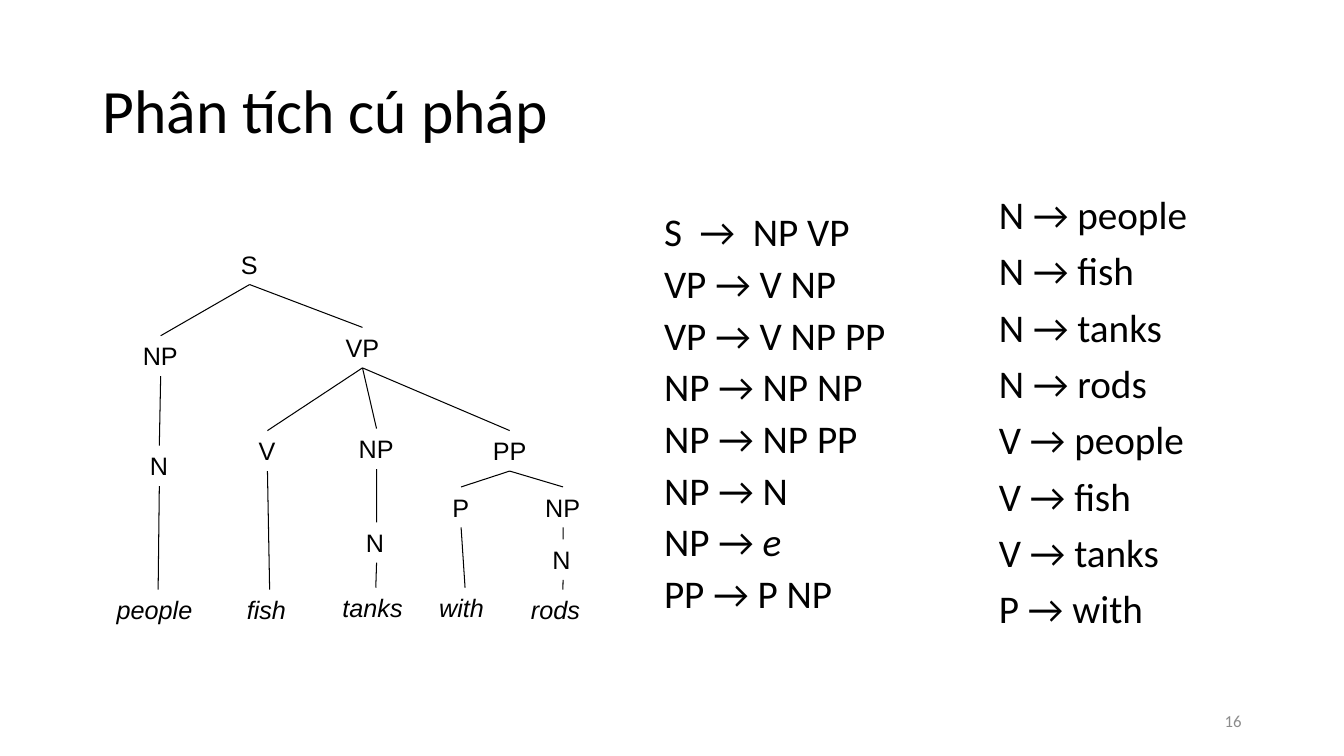
import pptx
import pptx.dml.color
import pptx.enum.shapes
import pptx.enum.text
import pptx.oxml
import pptx.util
from pptx.util import Cm

COLOURS = {"ink": "000000", "page_number": "8C8C8C"}
ANCHOR = pptx.enum.text.MSO_ANCHOR
ALIGN = pptx.enum.text.PP_ALIGN
AUTO_SIZE = pptx.enum.text.MSO_AUTO_SIZE
NODE_HEIGHT = 1.02

# Syntax tree: label, left, top, width (cm), children
SYNTAX_TREE = ("S", 5.82, 6.15, 0.94, [
    ("NP", 3.35, 8.46, 1.4, [
        ("N", 3.53, 11.23, 0.97, [
            ("people", 2.69, 14.86, 2.59, [])])]),
    ("VP", 8.46, 8.25, 1.35, [
        ("V", 6.27, 10.85, 0.94, [
            ("fish", 5.97, 14.86, 1.65, [])]),
        ("NP", 8.79, 10.8, 1.4, [
            ("N", 8.97, 13.16, 1.04, [
                ("tanks", 8.38, 14.81, 2.18, [])])]),
        ("PP", 12.17, 10.85, 1.35, [
            ("P", 11.15, 12.27, 0.94, [
                ("with", 10.82, 14.81, 1.8, [])]),
            ("NP", 13.49, 12.27, 1.4, [
                ("N", 13.67, 13.59, 1.04, [
                    ("rods", 13.13, 14.86, 2.11, [])])])])])])

# A rule given as a pair has its second part in italics
GRAMMAR = ["S  →  NP VP", "VP → V NP", "VP → V NP PP", "NP → NP NP",
           "NP → NP PP", "NP → N", ("NP → ", "e"), "PP → P NP"]
LEXICON = ["N → people", "N → fish", "N → tanks", "N → rods",
           "V → people", "V → fish", "V → tanks", "P → with"]


def rgb(name):
    return pptx.dml.color.RGBColor.from_string(COLOURS[name])


def write_text(holder, lines, size, font="Calibri", colour="ink", italic=False,
               align=ALIGN.LEFT, anchor=ANCHOR.TOP, spacing=1.0, before=0,
               wrap=True, auto_size=AUTO_SIZE.NONE, plain_list=False):
    frame = holder.text_frame
    frame.word_wrap = wrap
    frame.auto_size = auto_size
    frame.vertical_anchor = anchor
    for index, line in enumerate(lines):
        paragraph = frame.add_paragraph() if index else frame.paragraphs[0]
        if plain_list:
            properties = paragraph._p.get_or_add_pPr()
            properties.set("marL", "0")
            properties.set("indent", "0")
            properties.append(pptx.oxml.parse_xml(
                '<a:buNone xmlns:a="http://schemas.openxmlformats.org/drawingml/2006/main"/>'))
        paragraph.alignment = align
        paragraph.line_spacing = spacing
        paragraph.space_before = pptx.util.Pt(before if index else 0)
        parts = (line,) if isinstance(line, str) else line
        for position, part in enumerate(parts):
            run = paragraph.add_run()
            run.text = part
            run.font.name = font
            run.font.size = pptx.util.Pt(size)
            run.font.italic = italic or position > 0
            run.font.color.rgb = rgb(colour)


def place(holder, left, top, width, height):
    holder.left, holder.top = Cm(left), Cm(top)
    holder.width, holder.height = Cm(width), Cm(height)


def add_label(slide, text, left, top, width, height, **text_format):
    label = slide.shapes.add_textbox(Cm(left), Cm(top), Cm(width), Cm(height))
    write_text(label, [text], **text_format)
    return label


def add_branch(slide, parent, child):
    branch = slide.shapes.add_connector(
        pptx.enum.shapes.MSO_CONNECTOR.STRAIGHT, 0, 0, 0, 0)
    branch.begin_connect(parent, 2)
    branch.end_connect(child, 0)
    branch.line.color.rgb = rgb("ink")
    branch.line.width = pptx.util.Pt(0.75)
    branch._element.spPr.append(pptx.oxml.parse_xml(
        '<a:effectLst xmlns:a="http://schemas.openxmlformats.org/drawingml/2006/main"/>'))


def add_subtree(slide, node):
    symbol, left, top, width, children = node
    label = add_label(slide, symbol, left, top, width, NODE_HEIGHT, size=18,
                      font="Arial", italic=not children, wrap=False,
                      auto_size=AUTO_SIZE.SHAPE_TO_FIT_TEXT)
    for child in children:
        add_branch(slide, label, add_subtree(slide, child))
    return label


def main():
    deck = pptx.Presentation()
    deck.slide_width, deck.slide_height = Cm(33.87), Cm(19.05)
    slide = deck.slides.add_slide(deck.slide_layouts.get_by_name("Two Content"))
    title, grammar, lexicon = list(slide.placeholders)[:3]

    # Title
    place(title, 2.33, 1.01, 29.21, 3.68)
    write_text(title, ["Phân tích cú pháp"], size=44, anchor=ANCHOR.MIDDLE,
               spacing=0.9)

    # Syntax tree
    add_subtree(slide, SYNTAX_TREE)

    # Grammar rules and lexicon
    place(grammar, 16.48, 5.33, 7.98, 10.52)
    write_text(grammar, GRAMMAR, size=28, spacing=0.8, before=10, plain_list=True)
    place(lexicon, 24.92, 4.8, 7.34, 11.1)
    write_text(lexicon, LEXICON, size=28, spacing=0.9, before=10, plain_list=True)

    # Page number
    add_label(slide, "16", 23.92, 17.66, 7.62, 1.01, size=12,
              colour="page_number", align=ALIGN.RIGHT, anchor=ANCHOR.MIDDLE)

    deck.save("out.pptx")


if __name__ == "__main__":
    main()
